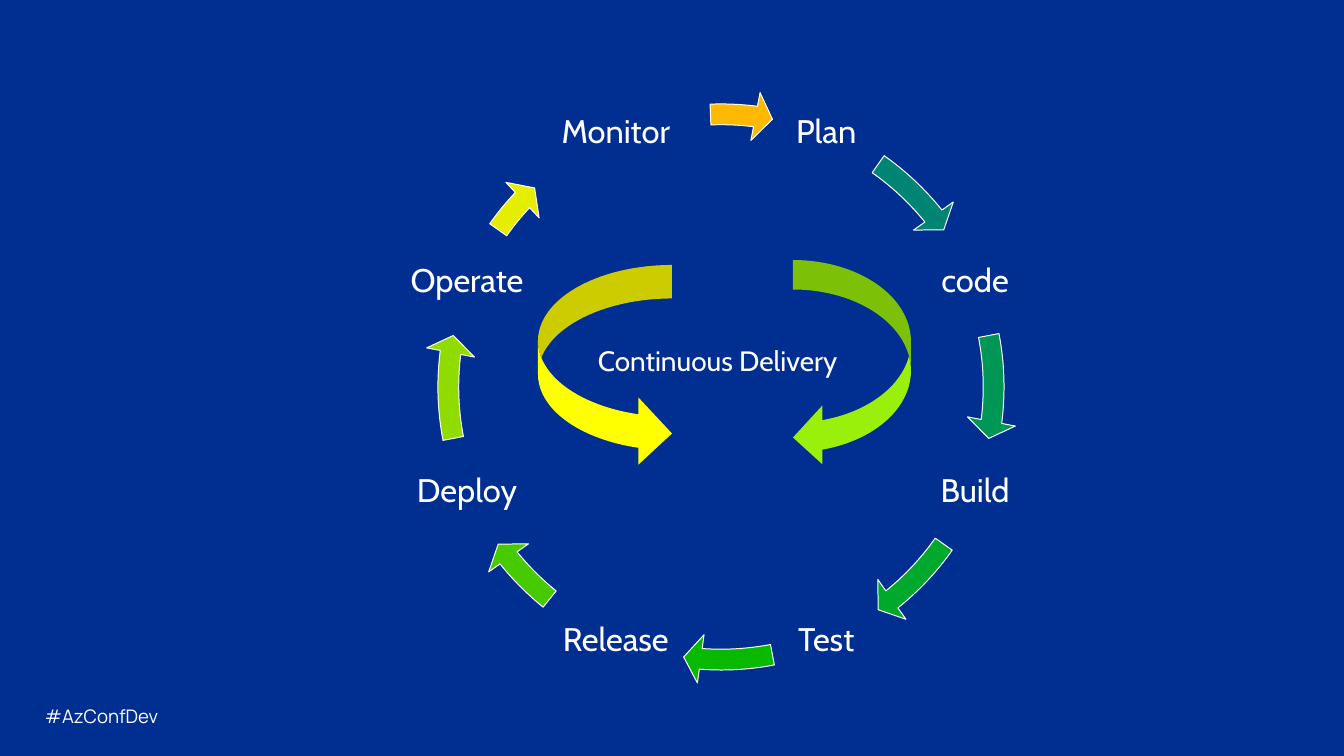
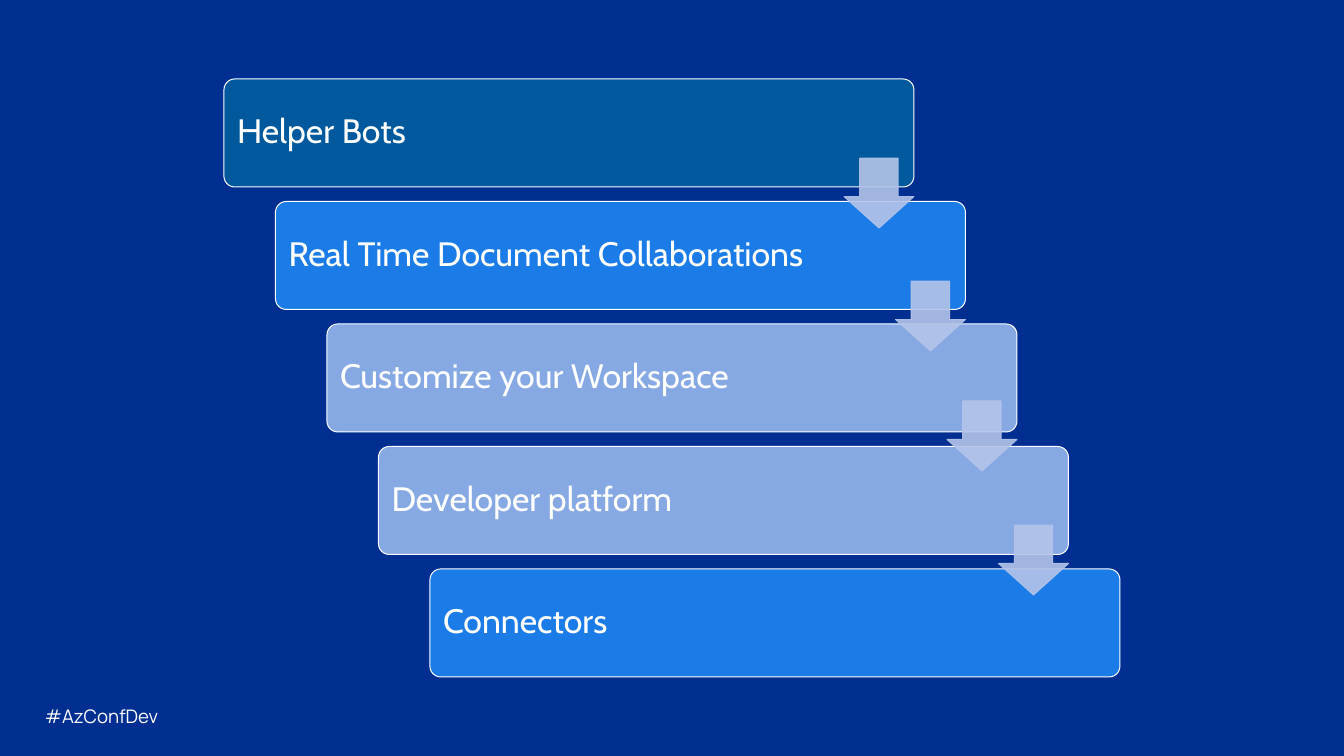
from math import cos, radians, sin

from pptx import Presentation
from pptx.dml.color import RGBColor
from pptx.enum.shapes import MSO_SHAPE
from pptx.enum.text import MSO_ANCHOR, PP_ALIGN
from pptx.oxml.ns import qn
from pptx.util import Emu, Pt
from lxml import etree

RING = MSO_SHAPE.CIRCULAR_ARROW
CARD = MSO_SHAPE.ROUNDED_RECTANGLE
DOWN = MSO_SHAPE.DOWN_ARROW
LEFT, CENTER = PP_ALIGN.LEFT, PP_ALIGN.CENTER
TOP, MIDDLE = MSO_ANCHOR.TOP, MSO_ANCHOR.MIDDLE

PX = 914400 / 84
COLORS = {
    "navy": "012F91", "white": "FFFFFF", "teal": "00599D",
    "blue": "1B7CE8", "pale": "86A9E4", "mist": "B4C4E9",
    "lime": "9BF00B", "yellow": "FFFF00",
}
BODY, TAG = "Cabin", "Manrope"
HASHTAG = "#AzConfDev"

# Clockwise from the top: label, then the arrow after it (start, end, fill)
STAGES = [
    ("Plan", 305.21, 321.18, "008575"),
    ("code", 349.12, 7.27, "009656"),
    ("Build", 35.21, 51.18, "00A82C"),
    ("Test", 79.12, 94.26, "08B900"),
    ("Release", 128.93, 141.18, "47CB00"),
    ("Deploy", 169.12, 187.27, "91DC00"),
    ("Operate", 215.21, 223.27, "E6EE00"),
    ("Monitor", 267.79, 277.27, "FFB900"),
]
LOOPS = [
    (MSO_SHAPE.CURVED_LEFT_ARROW, (793, 260, 118, 207), "lime"),
    (MSO_SHAPE.CURVED_RIGHT_ARROW, (538, 265, 134, 202), "yellow"),
]
HUB = "Continuous Delivery"

CARDS = [
    ("Helper Bots", "teal"),
    ("Real Time Document Collaborations", "blue"),
    ("Customize your Workspace", "pale"),
    ("Developer platform", "pale"),
    ("Connectors", "blue"),
]
DROPS = [158, 281, 401, 525]  # tops of the down arrows


def rgb(name):
    return RGBColor.from_string(COLORS.get(name, name))


def emu(box):
    return [Emu(round(v * PX)) for v in box]


def write(shape, text, size, font=BODY, align=LEFT, anchor=TOP,
          inset=(0, 0), space=1.0):
    frame = shape.text_frame
    frame.word_wrap = True
    frame.vertical_anchor = anchor
    side, edge = emu(inset)
    frame.margin_left = frame.margin_right = side
    frame.margin_top = frame.margin_bottom = edge
    frame.text = text
    para = frame.paragraphs[0]
    para.alignment = align
    para.line_spacing = space
    face = para.runs[0].font
    face.name, face.size = font, Pt(size)
    face.color.rgb = rgb("white")


def label(slide, box, text, size, **style):
    write(slide.shapes.add_textbox(*emu(box)), text, size, **style)


def draw(slide, kind, box, fill, line=None, adjust=()):
    shape = slide.shapes.add_shape(kind, *emu(box))
    shape.shadow.inherit = False
    shape.fill.solid()
    shape.fill.fore_color.rgb = rgb(fill)
    if line:
        shape.line.color.rgb = rgb(line)
        shape.line.width = Pt(0.85)
    else:
        shape.line.fill.background()
    for i, value in enumerate(adjust):
        shape.adjustments[i] = value
    return shape


def fade(shape, percent):
    for color in shape.element.spPr.iter(qn("a:srgbClr")):
        etree.SubElement(color, qn("a:alpha")).set("val", str(percent * 1000))


def add_slide(deck):
    slide = deck.slides.add_slide(deck.slide_layouts[6])
    label(slide, (37, 701, 183, 31), HASHTAG, 16, font=TAG, inset=(8, 4))
    return slide


def add_cycle(deck):
    slide = add_slide(deck)
    mid_x, mid_y, radius, size = 721, 387, 275, 594
    wide, high = 190, 107
    ring = (mid_x - size / 2, mid_y - size / 2, size, size)
    step = 360 / len(STAGES)
    for i, (name, start, end, fill) in enumerate(STAGES):
        turn = radians(step * (i + 0.5))
        x = mid_x + radius * sin(turn) - wide / 2
        y = mid_y - radius * cos(turn) - high / 2
        label(slide, (x, y, wide, high), name, 28, align=CENTER,
              anchor=MIDDLE, inset=(3, 3), space=0.9)
        # Angles are stored as 60000ths of a degree, adjustments as 100000ths
        draw(slide, RING, ring, fill, "white",
             (0.035, 2.167, end * 0.6, start * 0.6, 0.041))
    # Inner loop
    for kind, box, fill in LOOPS:
        draw(slide, kind, box, fill)
    label(slide, (598, 344, 269, 34), HUB, 24)


def add_steps(deck):
    slide = add_slide(deck)
    left, top, wide, high = 224, 79, 690, 108
    last = len(CARDS) - 1
    shift, fall = 206 / last, 490 / last
    for i, (name, fill) in enumerate(CARDS):
        box = (left + i * shift, top + i * fall, wide, high)
        card = draw(slide, CARD, box, fill, "white", (0.1,))
        write(card, name, 29, anchor=MIDDLE, inset=(10, 10), space=0.9)
    # Arrows end flush with the right edge of the upper card
    size = 70
    for i, y in enumerate(DROPS):
        x = left + i * shift + wide - size
        drop = draw(slide, DOWN, (x, y, size, size), "mist", "mist",
                    (0.55, 0.45))
        fade(drop, 90)


def main():
    deck = Presentation()
    deck.slide_width, deck.slide_height = emu((1344, 756))
    back = deck.slide_master.background.fill
    back.solid()
    back.fore_color.rgb = rgb("navy")
    add_cycle(deck)
    add_steps(deck)
    deck.save("out.pptx")


if __name__ == "__main__":
    main()
